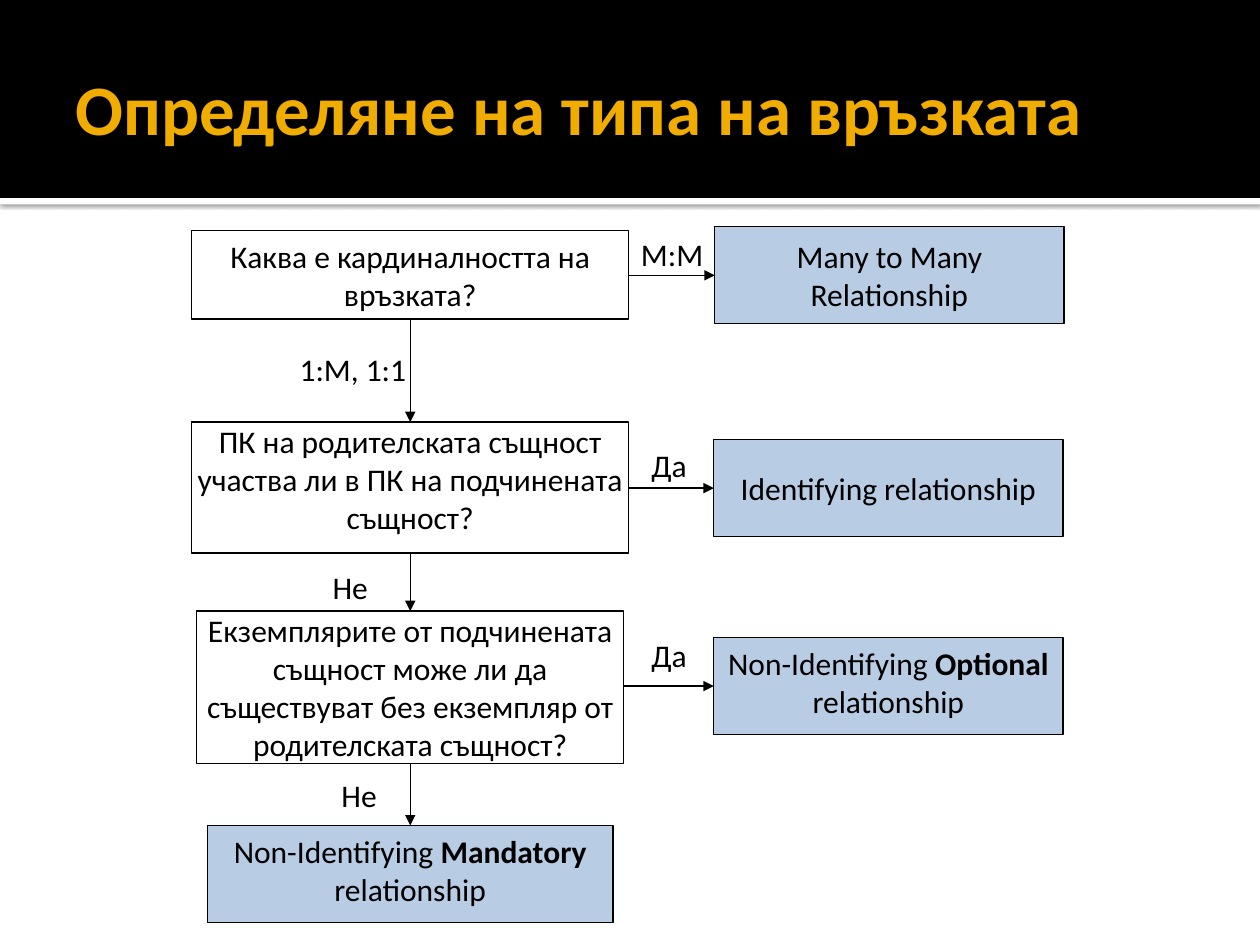
"""Build a slide with a decision flowchart for choosing a relationship type."""
from dataclasses import dataclass

from lxml.etree import SubElement
from pptx import Presentation
from pptx.dml.color import RGBColor
from pptx.enum.shapes import MSO_CONNECTOR, MSO_SHAPE
from pptx.enum.text import MSO_ANCHOR, PP_ALIGN
from pptx.oxml.ns import qn
from pptx.util import Cm, Pt

BLACK, WHITE, BLUE, GOLD = "000000", "FFFFFF", "B8CCE4", "F0AD00"
MIDDLE, TOP = MSO_ANCHOR.MIDDLE, MSO_ANCHOR.TOP
PROCESS, RECTANGLE = MSO_SHAPE.FLOWCHART_PROCESS, MSO_SHAPE.RECTANGLE
COLUMN_CENTER = 8.27
RESULT_CENTER = 17.91
LABEL_HEIGHT = 0.97


@dataclass(frozen=True)
class Box:
    text: str
    center: float
    top: float
    width: float
    height: float
    fill: str = WHITE
    kind: MSO_SHAPE = PROCESS
    anchor: MSO_ANCHOR = TOP
    inset: float = 0

    @property
    def left(self) -> float:
        return self.center - self.width / 2

    @property
    def right(self) -> float:
        return self.center + self.width / 2

    @property
    def bottom(self) -> float:
        return self.top + self.height

    @property
    def middle(self) -> float:
        return self.top + self.height / 2


@dataclass(frozen=True)
class Label:
    text: str
    left: float
    top: float
    width: float


def color(value: str) -> RGBColor:
    return RGBColor.from_string(value)


def write(shape, text: str, *, size: float = 18, ink: str = BLACK, bold: bool = False,
          align=PP_ALIGN.CENTER, anchor=MIDDLE, insets=(0, 0, 0, 0), wrap: bool = True) -> None:
    frame = shape.text_frame
    frame.word_wrap = wrap
    frame.vertical_anchor = anchor
    frame.margin_left, frame.margin_top, frame.margin_right, frame.margin_bottom = map(Cm, insets)
    paragraph = frame.paragraphs[0]
    paragraph.alignment = align
    for index, part in enumerate(text.split("*")):
        run = paragraph.add_run()
        run.text = part
        run.font.name = "Calibri"
        run.font.size = Pt(size)
        run.font.bold = bold or index % 2 == 1
        run.font.color.rgb = color(ink)


def add_block(slide, left: float, top: float, width: float, height: float,
              fill: str, kind=RECTANGLE, outline: bool = False):
    shape = slide.shapes.add_shape(kind, Cm(left), Cm(top), Cm(width), Cm(height))
    shape.shadow.inherit = False
    shape.fill.solid()
    shape.fill.fore_color.rgb = color(fill)
    if outline:
        shape.line.color.rgb = color(BLACK)
        shape.line.width = Pt(0.75)
    else:
        shape.line.fill.background()
    return shape


def add_box(slide, box: Box) -> None:
    shape = add_block(slide, box.left, box.top, box.width, box.height, box.fill, box.kind, True)
    write(shape, box.text, anchor=box.anchor, insets=(0, box.inset, 0, box.inset))


def add_label(slide, label: Label) -> None:
    shape = add_block(slide, label.left, label.top, label.width, LABEL_HEIGHT, WHITE)
    write(shape, label.text, anchor=TOP, insets=(0, 0.13, 0, 0.13), wrap=False)


def add_arrow(slide, x1: float, y1: float, x2: float, y2: float) -> None:
    arrow = slide.shapes.add_connector(MSO_CONNECTOR.STRAIGHT, Cm(x1), Cm(y1), Cm(x2), Cm(y2))
    arrow.line.color.rgb = color(BLACK)
    arrow.line.width = Pt(0.75)
    SubElement(arrow.line._get_or_add_ln(), qn("a:tailEnd"), type="triangle")
    SubElement(arrow._element.spPr, qn("a:effectLst"))


def add_header(slide) -> None:
    rule = add_block(slide, 0, 3.99, 25.4, 0.13, WHITE)
    effects = rule._element.spPr.find(qn("a:effectLst"))
    shadow = SubElement(effects, qn("a:outerShdw"), blurRad=str(Pt(2.5)), dist=str(Pt(0.8)),
                        dir="5400000", algn="t", rotWithShape="0")
    shade = SubElement(shadow, qn("a:srgbClr"), val=BLACK)
    SubElement(shade, qn("a:alpha"), val="60000")
    add_block(slide, 0, 0, 25.4, 3.99, BLACK)
    title = slide.shapes.add_textbox(Cm(1.27), Cm(0.43), Cm(22.86), Cm(3.48))
    write(title, "Определяне на типа на връзката", size=40.5, ink=GOLD, bold=True,
          align=PP_ALIGN.LEFT, insets=(0.25, 0.13, 0.13, 0.13))


def result(text: str, top: float, anchor=MIDDLE, center: float = RESULT_CENTER,
           width: float = 7.04) -> Box:
    return Box(text, center, top, width, 1.96, BLUE, RECTANGLE, anchor, 0.13)


STEPS = [
    Box("Каква е кардиналността на връзката?", COLUMN_CENTER, 4.65, 8.81, 1.78, anchor=MIDDLE),
    Box("ПК на родителската същност участва ли в ПК на подчинената същност?",
        COLUMN_CENTER, 8.51, 8.81, 2.64),
    Box("Екземплярите от подчинената същност може ли да съществуват без екземпляр "
        "от родителската същност?", COLUMN_CENTER, 12.32, 8.61, 3.07),
    result("Non-Identifying *Mandatory* relationship", 16.64, TOP, COLUMN_CENTER, 8.18),
]
RESULTS = [
    result("Many to Many Relationship", 4.57, center=17.93),
    result("Identifying relationship", 8.86),
    result("Non-Identifying *Optional* relationship", 12.85, TOP),
]
LABELS = [
    Label("M:M", 12.57, 4.6, 1.96),
    Label("1:М, 1:1", 5.54, 6.93, 3.15),
    Label("Да", 12.78, 8.86, 1.42),
    Label("Не", 6.3, 11.33, 1.52),
    Label("Да", 12.78, 12.7, 1.42),
    Label("Не", 6.48, 15.52, 1.52),
]


def main() -> None:
    presentation = Presentation()
    presentation.slide_width, presentation.slide_height = Cm(25.4), Cm(19.05)
    slide = presentation.slides.add_slide(presentation.slide_layouts[6])
    add_header(slide)
    for label in LABELS:
        add_label(slide, label)
    for box in STEPS + RESULTS:
        add_box(slide, box)
    for upper, lower in zip(STEPS, STEPS[1:]):
        add_arrow(slide, upper.center, upper.bottom, lower.center, lower.top)
    for step, outcome in zip(STEPS, RESULTS):
        add_arrow(slide, step.right, outcome.middle, outcome.left, outcome.middle)
    presentation.save("out.pptx")


main()
